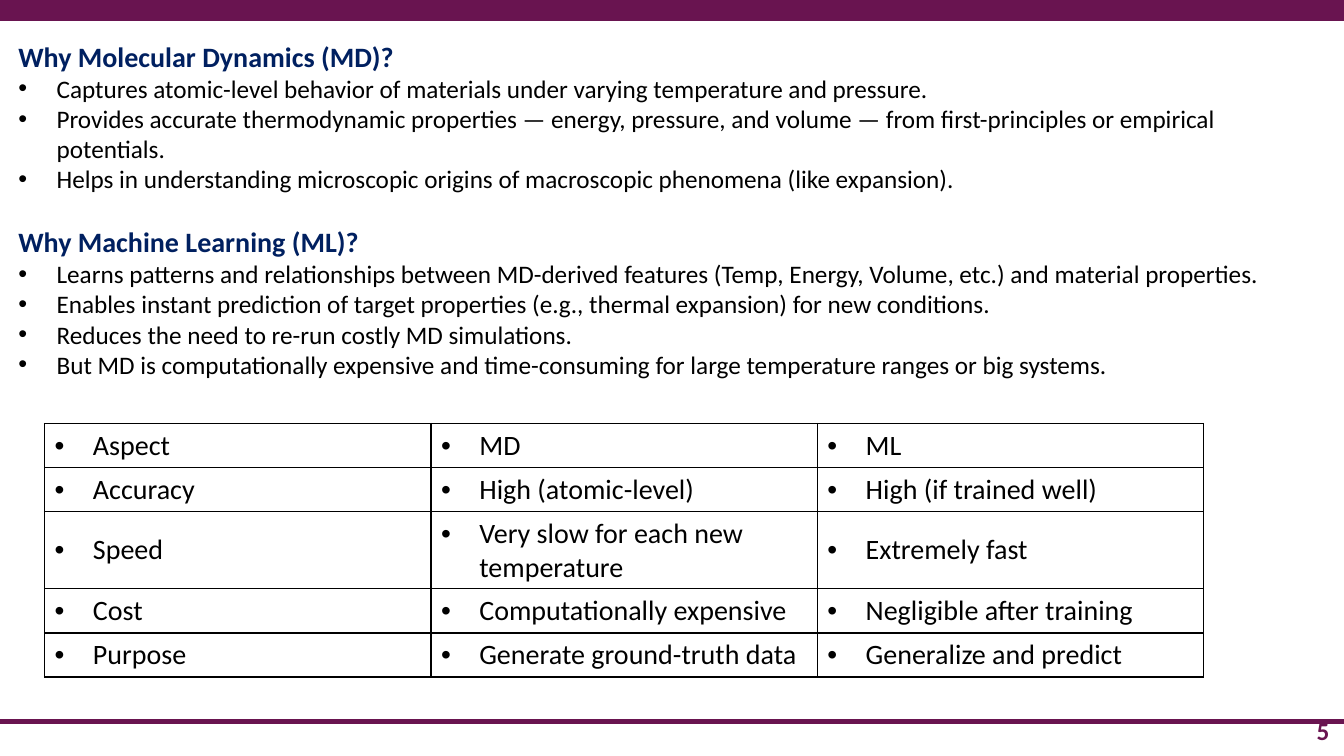
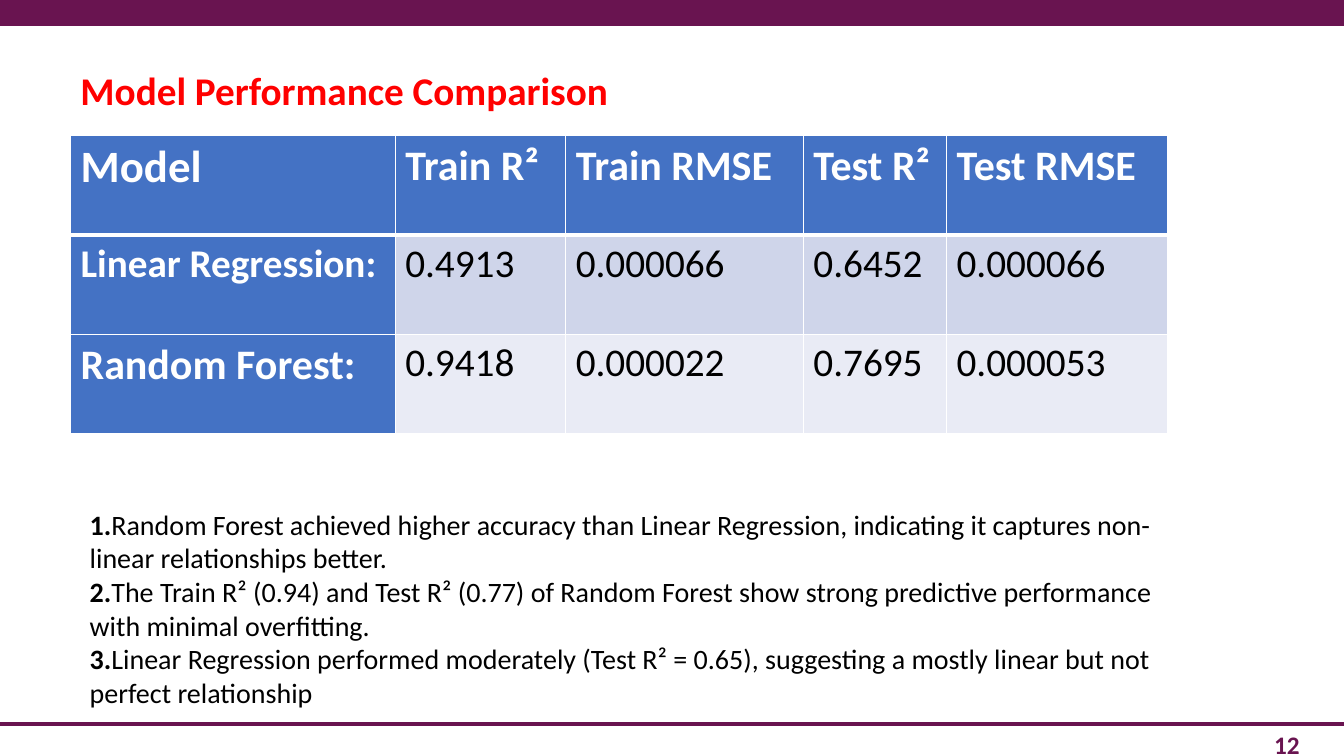
from lxml.etree import SubElement
from pptx import Presentation
from pptx.dml.color import RGBColor
from pptx.enum.shapes import MSO_CONNECTOR, MSO_SHAPE
from pptx.enum.text import MSO_ANCHOR, PP_ALIGN
from pptx.oxml.ns import qn
from pptx.util import Inches, Pt

PLUM = RGBColor(0x69, 0x14, 0x50)
NAVY = RGBColor(0x00, 0x20, 0x60)
RED = RGBColor(0xFF, 0x00, 0x00)
BLACK = RGBColor(0x00, 0x00, 0x00)
WHITE = RGBColor(0xFF, 0xFF, 0xFF)
BLUE = RGBColor(0x44, 0x72, 0xC4)
ROW_TINTS = [RGBColor(0xCF, 0xD5, 0xEA), RGBColor(0xE9, 0xEB, 0xF5)]

FONT = "Calibri"
COLUMNS, ROWS = 160, 90
BULLET_INDENT = Inches(0.38)
SECTION_GAP = Pt(22)


class Deck:
    """Holds the shared style and the slide being built."""

    def __init__(self):
        self.presentation = Presentation()
        self.presentation.slide_width = Inches(13.33)
        self.presentation.slide_height = Inches(7.5)
        self.slide = None

    def across(self, columns):
        return round(self.presentation.slide_width * columns / COLUMNS)

    def down(self, rows):
        return round(self.presentation.slide_height * rows / ROWS)

    def box(self, left, top, width, height):
        return self.across(left), self.down(top), self.across(width), self.down(height)

    def new_slide(self, band_height, rule_row):
        layout = self.presentation.slide_layouts[6]
        self.slide = self.presentation.slides.add_slide(layout)
        band = self.slide.shapes.add_shape(
            MSO_SHAPE.RECTANGLE, *self.box(0, 0, COLUMNS, band_height))
        band.shadow.inherit = False
        band.fill.solid()
        band.fill.fore_color.rgb = PLUM
        band.line.fill.background()
        rule = self.slide.shapes.add_connector(
            MSO_CONNECTOR.STRAIGHT, 0, self.down(rule_row),
            self.across(COLUMNS), self.down(rule_row))
        rule.line.color.rgb = PLUM
        rule.line.width = Pt(3)
        SubElement(rule._element.spPr, qn("a:effectLst"))

    def text_frame(self, *place, anchor=MSO_ANCHOR.TOP):
        frame = self.slide.shapes.add_textbox(*self.box(*place)).text_frame
        frame.word_wrap = True
        frame.vertical_anchor = anchor
        return frame

    def format_run(self, run, size, color=BLACK, bold=False):
        run.font.name = FONT
        run.font.size = Pt(size)
        run.font.color.rgb = color
        run.font.bold = bold

    def set_text(self, paragraph, text, size, color=BLACK, bold=False):
        paragraph.text = text
        self.format_run(paragraph.runs[0], size, color, bold)

    def add_bullet(self, paragraph):
        properties = paragraph._p.get_or_add_pPr()
        properties.set("marL", str(BULLET_INDENT))
        properties.set("indent", str(-BULLET_INDENT))
        SubElement(properties, qn("a:buFont"), typeface="Arial")
        SubElement(properties, qn("a:buChar"), char="•")

    def heading(self, text, *place):
        self.set_text(self.text_frame(*place).paragraphs[0], text, 28, RED, True)

    def page_number(self, number, *place, align=PP_ALIGN.LEFT, anchor=MSO_ANCHOR.TOP):
        paragraph = self.text_frame(*place, anchor=anchor).paragraphs[0]
        self.set_text(paragraph, number, 18, PLUM, True)
        paragraph.alignment = align

    def sections(self, sections, *place):
        frame = self.text_frame(*place)
        for index, (title, points) in enumerate(sections):
            paragraph = frame.add_paragraph() if index else frame.paragraphs[0]
            self.set_text(paragraph, title, 20, NAVY, True)
            if index:
                paragraph.space_before = SECTION_GAP
            for point in points:
                paragraph = frame.add_paragraph()
                self.set_text(paragraph, point, 18)
                self.add_bullet(paragraph)

    def numbered_notes(self, notes, *place):
        frame = self.text_frame(*place)
        for number, note in enumerate(notes, 1):
            paragraph = frame.paragraphs[0] if number == 1 else frame.add_paragraph()
            self.set_text(paragraph, f"{number}.", 20, bold=True)
            run = paragraph.add_run()
            run.text = note
            self.format_run(run, 20)

    def table(self, left, top, widths, heights):
        place = self.box(left, top, sum(widths), sum(heights))
        table = self.slide.shapes.add_table(len(heights), len(widths), *place).table
        table.first_row = table.horz_banding = False
        for column, width in zip(table.columns, widths):
            column.width = self.across(width)
        for row, height in zip(table.rows, heights):
            row.height = self.down(height)
        return table

    def cell_borders(self, cell, color, top=1, bottom=1):
        properties = cell._tc.get_or_add_tcPr()
        for side, width in (("L", 1), ("R", 1), ("T", top), ("B", bottom)):
            line = SubElement(properties, qn(f"a:ln{side}"), w=str(Pt(width)))
            fill = SubElement(line, qn("a:solidFill"))
            SubElement(fill, qn("a:srgbClr"), val=str(color))

    def bullet_table(self, values, left, top, widths, heights):
        table = self.table(left, top, widths, heights)
        for row, texts in enumerate(values):
            for column, text in enumerate(texts):
                cell = table.cell(row, column)
                self.cell_borders(cell, BLACK)
                cell.fill.background()
                cell.vertical_anchor = MSO_ANCHOR.MIDDLE
                paragraph = cell.text_frame.paragraphs[0]
                self.set_text(paragraph, text, 20)
                self.add_bullet(paragraph)

    def score_table(self, values, label_sizes, left, top, widths, heights):
        table = self.table(left, top, widths, heights)
        for row, texts in enumerate(values):
            for column, text in enumerate(texts):
                cell = table.cell(row, column)
                is_label = row == 0 or column == 0
                self.cell_borders(cell, WHITE, top=3 if row == 1 else 1,
                                  bottom=3 if row == 0 else 1)
                cell.fill.solid()
                cell.fill.fore_color.rgb = BLUE if is_label else ROW_TINTS[row - 1]
                size = label_sizes[row] if column == 0 else 30 if row == 0 else 28
                self.set_text(cell.text_frame.paragraphs[0], text, size,
                              WHITE if is_label else BLACK, is_label)


def build_motivation(deck):
    deck.new_slide(band_height=2.5, rule_row=85.9)
    deck.page_number("5", 155.3, 84.6, 4.4, 4.8,
                     align=PP_ALIGN.CENTER, anchor=MSO_ANCHOR.MIDDLE)
    # Reasons for each method
    deck.sections([
        ("Why Molecular Dynamics (MD)?", [
            "Captures atomic-level behavior of materials under varying temperature and pressure.",
            "Provides accurate thermodynamic properties — energy, pressure, and volume — "
            "from first-principles or empirical potentials.",
            "Helps in understanding microscopic origins of macroscopic phenomena (like expansion).",
        ]),
        ("Why Machine Learning (ML)?", [
            "Learns patterns and relationships between MD-derived features "
            "(Temp, Energy, Volume, etc.) and material properties.",
            "Enables instant prediction of target properties (e.g., thermal expansion) "
            "for new conditions.",
            "Reduces the need to re-run costly MD simulations.",
            "But MD is computationally expensive and time-consuming for large "
            "temperature ranges or big systems.",
        ]),
    ], 1, 4.1, 156.5, 42)
    # Method comparison
    deck.bullet_table([
        ("Aspect", "MD", "ML"),
        ("Accuracy", "High (atomic-level)", "High (if trained well)"),
        ("Speed", "Very slow for each new temperature", "Extremely fast"),
        ("Cost", "Computationally expensive", "Negligible after training"),
        ("Purpose", "Generate ground-truth data", "Generalize and predict"),
    ], 5.3, 50.4, [46] * 3, [5.25, 5.25, 9.15, 5.25, 5.25])


def build_performance(deck):
    deck.new_slide(band_height=3.1, rule_row=86.2)
    deck.page_number("12", 150.5, 86.2, 9.5, 3.8)
    deck.heading("Model Performance Comparison", 8.4, 7.3, 68.4, 6.8)
    # Scores of both models
    deck.score_table([
        ("Model", "Train R²", "Train RMSE", "Test R²", "Test RMSE"),
        ("Linear Regression:", "0.4913", "0.000066", "0.6452", "0.000066"),
        ("Random Forest:", "0.9418", "0.000022", "0.7695", "0.000053"),
    ], [32, 28, 30], 8.4, 16.1, [38.65, 20.3, 28.3, 17.05, 26.3], [11.85] * 3)
    # Findings
    deck.numbered_notes([
        "Random Forest achieved higher accuracy than Linear Regression, "
        "indicating it captures non-linear relationships better.",
        "The Train R² (0.94) and Test R² (0.77) of Random Forest show strong "
        "predictive performance with minimal overfitting.",
        "Linear Regression performed moderately (Test R² = 0.65), suggesting "
        "a mostly linear but not perfect relationship",
    ], 9.5, 59.8, 134, 29.5)


def main():
    deck = Deck()
    build_motivation(deck)
    build_performance(deck)
    deck.presentation.save("out.pptx")


if __name__ == "__main__":
    main()
